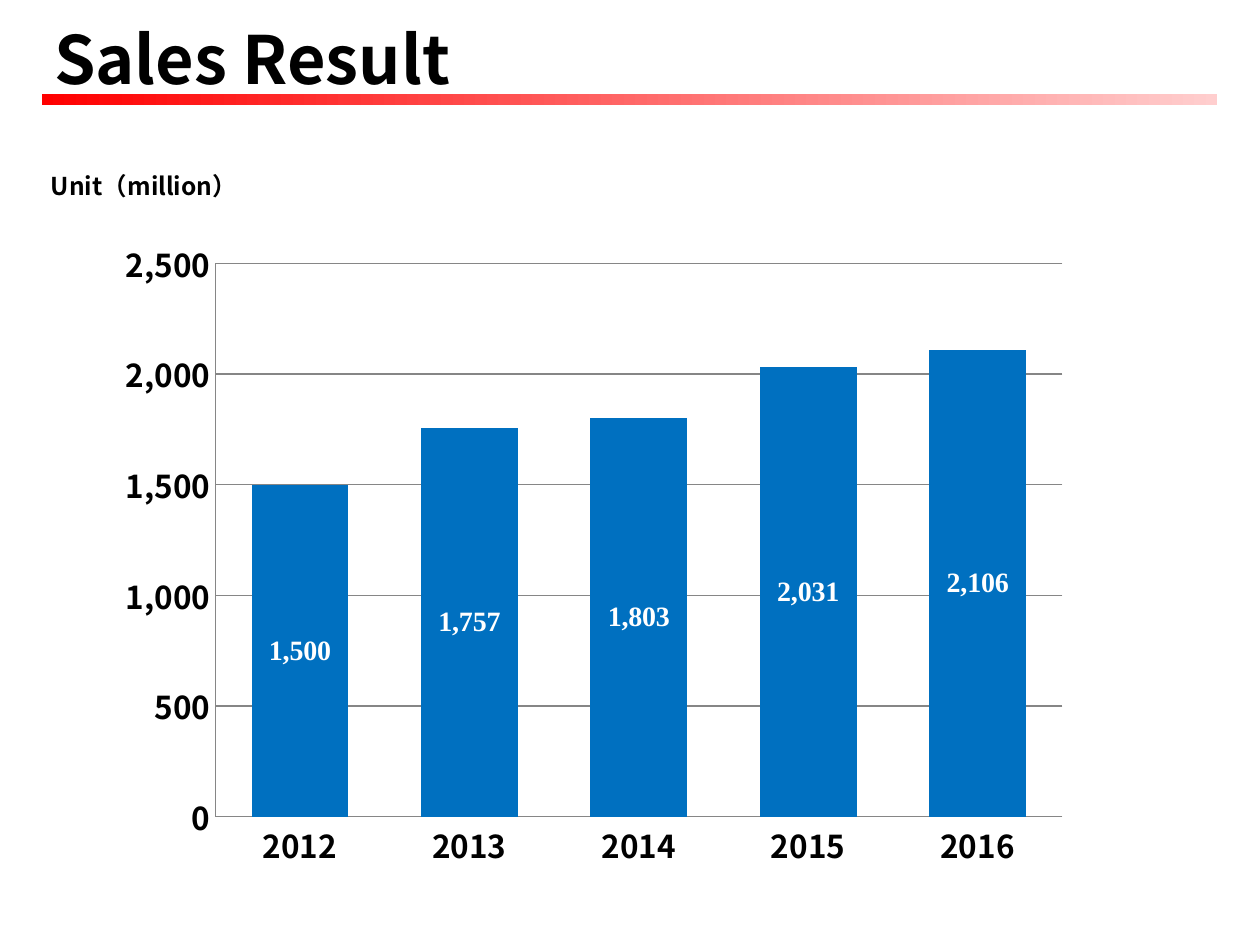
from dataclasses import dataclass

import pptx
import pptx.chart.data
import pptx.dml.color
import pptx.enum.chart
import pptx.enum.shapes
import pptx.enum.text
import pptx.oxml
import pptx.oxml.ns
import pptx.util
from pptx.util import Cm

HEADING_FONT = "Noto Sans CJK SC"
AXIS_FONT = "Noto Sans CJK JP"
LABEL_FONT = "Times New Roman"
BLACK, WHITE, BLUE, GRAY = "000000", "FFFFFF", "0070C0", "868686"

SALES = {"2012": 1500, "2013": 1757, "2014": 1803, "2015": 2031, "2016": 2106}


@dataclass
class Box:
    left: float
    top: float
    width: float
    height: float

    def lengths(self) -> tuple:
        return Cm(self.left), Cm(self.top), Cm(self.width), Cm(self.height)


@dataclass
class Caption:
    text: str
    box: Box
    size: int
    inset: float
    wrap: bool
    alignment: pptx.enum.text.PP_ALIGN


CAPTIONS = [
    Caption("Sales Result", Box(0.84, 0.43, 16.41, 1.47), 38, 0.25, True,
            pptx.enum.text.PP_ALIGN.LEFT),
    Caption("Unit（million）", Box(0.86, 3.33, 4.09, 0.84), 14, 0, False,
            pptx.enum.text.PP_ALIGN.CENTER),
]


def color(value: str) -> pptx.dml.color.RGBColor:
    return pptx.dml.color.RGBColor.from_string(value)


def set_values(target, values: dict) -> None:
    for name, value in values.items():
        setattr(target, name, value)


def format_font(font, name: str, size: int, value: str, bold: bool = True) -> None:
    set_values(font, {"name": name, "size": pptx.util.Pt(size), "bold": bold})
    font.color.rgb = color(value)


def add_caption(slide, caption: Caption) -> None:
    frame = slide.shapes.add_textbox(*caption.box.lengths()).text_frame
    set_values(frame, {
        "word_wrap": caption.wrap,
        "vertical_anchor": pptx.enum.text.MSO_ANCHOR.MIDDLE,
        "margin_left": Cm(caption.inset), "margin_right": Cm(caption.inset),
        "margin_top": 0, "margin_bottom": 0,
    })
    paragraph = frame.paragraphs[0]
    paragraph.alignment = caption.alignment
    run = paragraph.add_run()
    run.text = caption.text
    format_font(run.font, HEADING_FONT, caption.size, BLACK)
    # East Asian characters need their own typeface entry
    east_asian = pptx.oxml.parse_xml(
        f'<a:ea {pptx.oxml.ns.nsdecls("a")} typeface="{HEADING_FONT}"/>')
    run.font._element.find(pptx.oxml.ns.qn("a:latin")).addnext(east_asian)


def add_gradient_rule(slide, box: Box, colors: tuple) -> None:
    shape = slide.shapes.add_shape(
        pptx.enum.shapes.MSO_SHAPE.RECTANGLE, *box.lengths())
    shape.shadow.inherit = False
    shape.line.fill.background()
    shape.fill.gradient()
    shape.fill.gradient_angle = 0
    for stop, value in zip(shape.fill.gradient_stops, colors):
        stop.color.rgb = color(value)


def format_line(line) -> None:
    line.color.rgb = color(GRAY)
    line.width = pptx.util.Pt(0.75)


def add_sales_chart(slide, box: Box) -> None:
    data = pptx.chart.data.CategoryChartData(number_format="#,##0")
    data.categories = list(SALES)
    data.add_series("Series 1", list(SALES.values()))
    chart = slide.shapes.add_chart(
        pptx.enum.chart.XL_CHART_TYPE.COLUMN_CLUSTERED, *box.lengths(), data).chart
    set_values(chart, {"has_legend": False, "has_title": False})
    format_font(chart.font, LABEL_FONT, 10, BLACK, bold=False)

    # Axes
    for axis in (chart.category_axis, chart.value_axis):
        axis.major_tick_mark = pptx.enum.chart.XL_TICK_MARK.NONE
        format_font(axis.tick_labels.font, AXIS_FONT, 18, BLACK)
        format_line(axis.format.line)
    set_values(chart.value_axis, {
        "minimum_scale": 0, "maximum_scale": 2500, "major_unit": 500,
        "has_major_gridlines": True})
    format_line(chart.value_axis.major_gridlines.format.line)
    set_values(chart.value_axis.tick_labels, {
        "number_format": "#,##0", "number_format_is_linked": False})

    # Columns and their values
    plot = chart.plots[0]
    set_values(plot, {"gap_width": 75, "overlap": 40, "vary_by_categories": False,
                      "has_data_labels": True})
    fill = plot.series[0].format.fill
    fill.solid()
    fill.fore_color.rgb = color(BLUE)
    labels = plot.data_labels
    set_values(labels, {
        "show_value": True, "number_format": "#,##0", "number_format_is_linked": False,
        "position": pptx.enum.chart.XL_LABEL_POSITION.CENTER})
    format_font(labels.font, LABEL_FONT, 16, WHITE)

    # Inner plot area as fractions of the chart
    fractions = {"x": 0.11, "y": 0.06, "w": 0.87, "h": 0.85}
    entries = "".join(f'<c:{key} val="{value}"/>' for key, value in fractions.items())
    layout = pptx.oxml.parse_xml(
        f'<c:layout {pptx.oxml.ns.nsdecls("c")}><c:manualLayout>'
        '<c:layoutTarget val="inner"/><c:xMode val="edge"/><c:yMode val="edge"/>'
        f'{entries}</c:manualLayout></c:layout>')
    plot_area = chart._chartSpace.chart.plotArea
    for existing in plot_area.findall(pptx.oxml.ns.qn("c:layout")):
        plot_area.remove(existing)
    plot_area.insert(0, layout)


def main() -> None:
    presentation = pptx.Presentation()
    set_values(presentation, {"slide_width": Cm(25.4), "slide_height": Cm(19.05)})
    slide = presentation.slides.add_slide(presentation.slide_layouts[6])

    # Heading and unit
    add_gradient_rule(slide, Box(0.84, 1.9, 23.7, 0.21), ("FF0000", "FFCECE"))
    for caption in CAPTIONS:
        add_caption(slide, caption)

    # Yearly sales
    add_sales_chart(slide, Box(2.18, 4.52, 19.63, 13.13))
    presentation.save("out.pptx")


if __name__ == "__main__":
    main()
